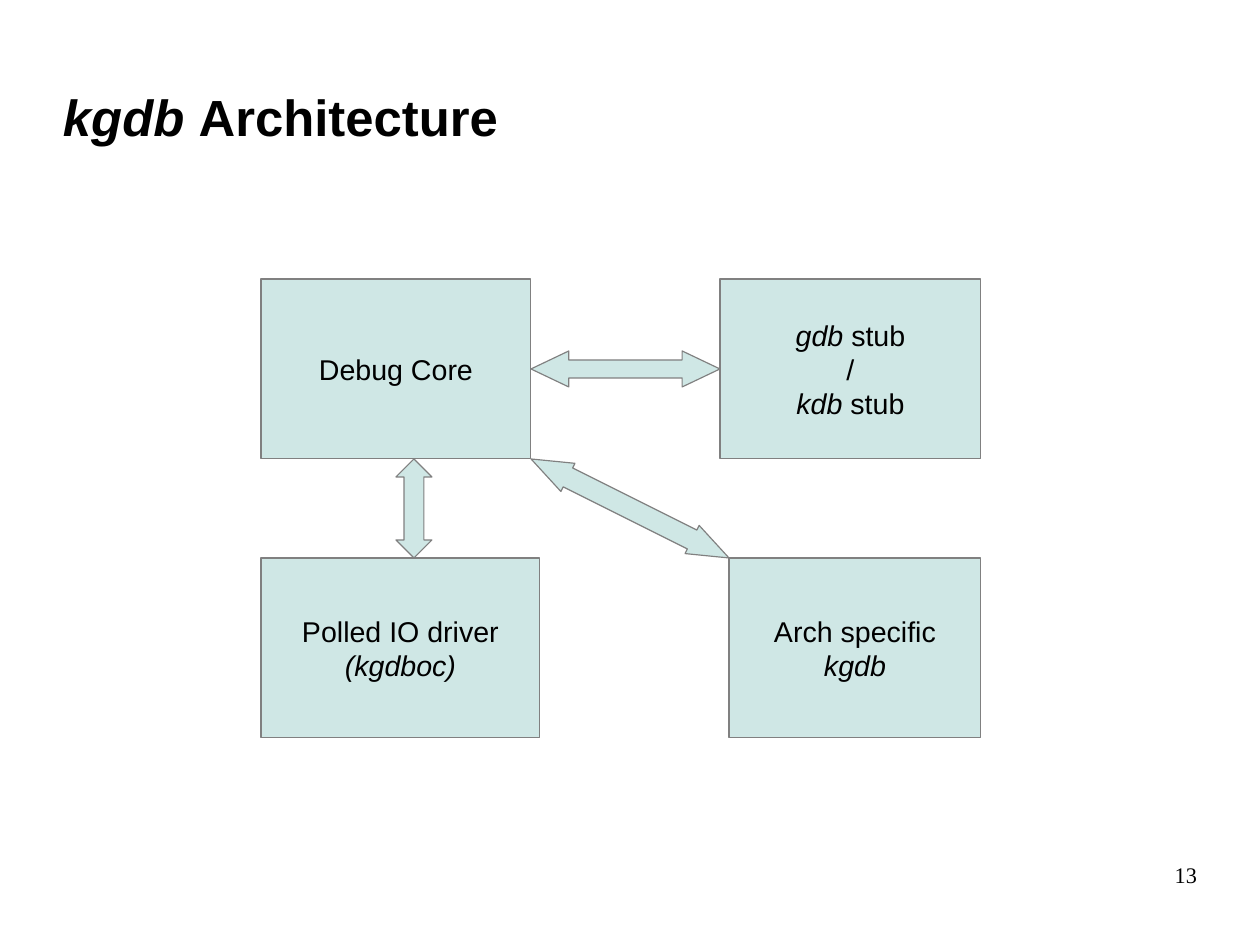
import math

import pptx
import pptx.dml.color
import pptx.enum.shapes
import pptx.enum.text
import pptx.util

Cm = pptx.util.Cm
Pt = pptx.util.Pt
SHAPE = pptx.enum.shapes.MSO_SHAPE
ALIGN = pptx.enum.text.PP_ALIGN
ANCHOR = pptx.enum.text.MSO_ANCHOR

BLACK, TEAL, GREY = "000000", "CFE7E5", "808080"


def color(hex_code):
    return pptx.dml.color.RGBColor.from_string(hex_code)


def format_font(font, size, name="Arial"):
    font.size = Pt(size)
    font.name = name
    font.color.rgb = color(BLACK)


def clear_margins(frame):
    frame.margin_left = frame.margin_right = 0
    frame.margin_top = frame.margin_bottom = 0


def write_runs(paragraph, runs):
    """Write (text, italic) pairs into a paragraph."""
    for text, italic in runs:
        run = paragraph.add_run()
        run.text = text
        run.font.italic = italic


def add_teal_shape(slide, kind, left, top, width, height):
    shape = slide.shapes.add_shape(kind, Cm(left), Cm(top), Cm(width), Cm(height))
    shape.shadow.inherit = False
    shape.fill.solid()
    shape.fill.fore_color.rgb = color(TEAL)
    shape.line.color.rgb = color(GREY)
    shape.line.width = Pt(0)
    return shape


def add_component(slide, left, top, width, height, lines):
    component = add_teal_shape(slide, SHAPE.RECTANGLE, left, top, width, height)
    frame = component.text_frame
    frame.word_wrap = False
    frame.vertical_anchor = ANCHOR.MIDDLE
    for index, runs in enumerate(lines):
        paragraph = frame.add_paragraph() if index else frame.paragraphs[0]
        paragraph.alignment = ALIGN.CENTER
        format_font(paragraph.font, 18)
        write_runs(paragraph, runs)


def add_arrow(slide, kind, left, top, width, height, shaft, head):
    arrow = add_teal_shape(slide, kind, left, top, width, height)
    arrow.adjustments[0] = shaft
    arrow.adjustments[1] = head
    return arrow


def add_title(slide, left, top, width, height):
    title = slide.shapes.title
    title.left, title.top = Cm(left), Cm(top)
    title.width, title.height = Cm(width), Cm(height)
    frame = title.text_frame
    clear_margins(frame)
    frame.vertical_anchor = ANCHOR.MIDDLE
    paragraph = frame.paragraphs[0]
    paragraph.alignment = ALIGN.LEFT
    format_font(paragraph.font, 32)
    paragraph.font.bold = True
    write_runs(paragraph, [("kgdb ", True), ("Architecture", False)])


def add_architecture(slide, left, top, width, height):
    box_height = 4
    core_width, stub_width, driver_width, arch_width = 6, 5.8, 6.2, 5.6
    right, lower_top = left + width, top + height - box_height
    core_right, core_bottom = left + core_width, top + box_height
    stub_left, arch_left = right - stub_width, right - arch_width

    # Components
    add_component(slide, left, top, core_width, box_height,
                  [[("Debug Core", False)]])
    add_component(slide, stub_left, top, stub_width, box_height,
                  [[("gdb ", True), ("stub", False)],
                   [("/", False)],
                   [("kdb ", True), ("stub", False)]])
    add_component(slide, arch_left, lower_top, arch_width, box_height,
                  [[("Arch specific", False)], [("kgdb", True)]])
    add_component(slide, left, lower_top, driver_width, box_height,
                  [[("Polled IO driver", False)], [("(kgdboc)", True)]])

    # Debug core to stubs
    thickness = 0.8
    add_arrow(slide, SHAPE.LEFT_RIGHT_ARROW, core_right,
              top + (box_height - thickness) / 2,
              stub_left - core_right, thickness, 0.5, 1.05)

    # Debug core to architecture code, corner to corner
    across, down = arch_left - core_right, lower_top - core_bottom
    length, diagonal_thickness = math.hypot(across, down), 0.7
    diagonal = add_arrow(slide, SHAPE.LEFT_RIGHT_ARROW,
                         core_right + (across - length) / 2,
                         core_bottom + (down - diagonal_thickness) / 2,
                         length, diagonal_thickness, 0.67, 1.31)
    diagonal.rotation = math.degrees(math.atan2(down, across))

    # Debug core to driver
    add_arrow(slide, SHAPE.UP_DOWN_ARROW, left + core_width / 2, core_bottom,
              thickness, down, 0.5, 0.55)


def add_page_number(slide, left, top, width, height):
    number = slide.shapes.add_textbox(Cm(left), Cm(top), Cm(width), Cm(height))
    frame = number.text_frame
    frame.word_wrap = True
    clear_margins(frame)
    paragraph = frame.paragraphs[0]
    paragraph.text = "13"
    paragraph.alignment = ALIGN.RIGHT
    format_font(paragraph.font, 14, "Times New Roman")


def main():
    deck = pptx.Presentation()
    deck.slide_width, deck.slide_height = Cm(28), Cm(21)
    slide = deck.slides.add_slide(deck.slide_layouts[5])  # title only
    add_title(slide, 1.4, 0.84, 25.2, 3.5)
    add_architecture(slide, 5.8, 6.2, 16, 10.2)
    add_page_number(slide, 20.07, 19.13, 6.53, 1.45)
    deck.save("out.pptx")


if __name__ == "__main__":
    main()
